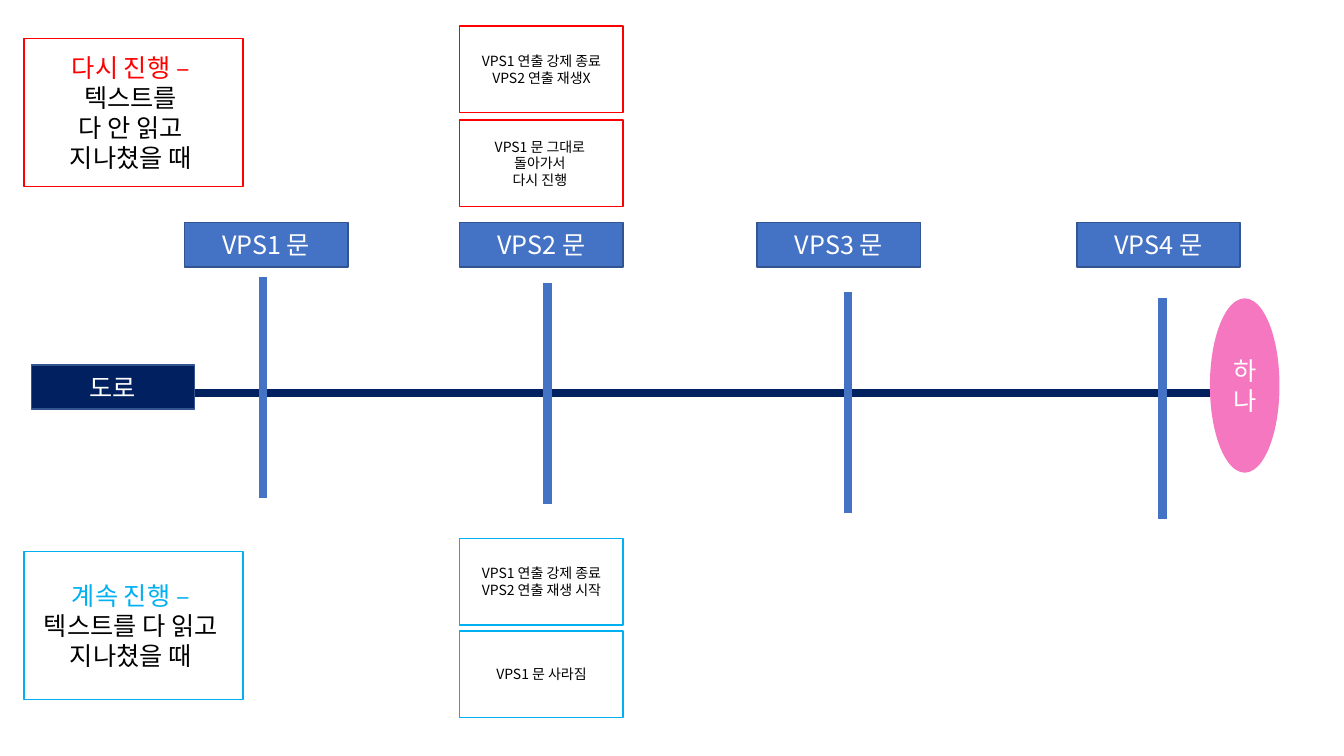
from lxml import etree
from pptx import Presentation
from pptx.dml.color import RGBColor
from pptx.enum.shapes import MSO_CONNECTOR, MSO_SHAPE
from pptx.enum.text import MSO_ANCHOR, PP_ALIGN
from pptx.oxml.ns import qn
from pptx.util import Inches, Pt

RECT, OVAL = MSO_SHAPE.RECTANGLE, MSO_SHAPE.OVAL
STRAIGHT = MSO_CONNECTOR.STRAIGHT
CENTER, MIDDLE = PP_ALIGN.CENTER, MSO_ANCHOR.MIDDLE
FONT = "Noto Sans CJK KR"
COLORS = {
    "white": "FFFFFF", "black": "000000", "blue": "4472C4", "edge": "325491",
    "navy": "002060", "pink": "F577BF", "red": "FF0000", "sky": "00B0F0",
}

GATES = [
    ("VPS1 문", 1.83, 2.61, 2.75),
    ("VPS2 문", 4.56, 5.43, 2.81),
    ("VPS3 문", 7.51, 8.41, 2.9),
    ("VPS4 문", 10.68, 11.53, 2.96),
]
CASES = [
    ("red", 0.38, ["다시 진행 – ", "텍스트를 ", "다 안 읽고 ", "지나쳤을 때 "]),
    ("sky", 5.47, ["계속 진행 – ", "텍스트를 다 읽고 ", "지나쳤을 때 "]),
]
RESULTS = [
    ("red", 0.26, ["VPS1 연출 강제 종료", "VPS2 연출 재생X"]),
    ("red", 1.19, ["VPS1 문 그대로 ", "돌아가서 ", "다시 진행 "]),
    ("sky", 5.34, ["VPS1 연출 강제 종료", "VPS2 연출 재생 시작"]),
    ("sky", 6.26, ["VPS1 문 사라짐"]),
]

LABEL_W, LABEL_H, LABEL_TOP = 1.62, 0.44, 2.21
CASE_LEFT, CASE_W, CASE_H = 0.24, 2.17, 1.47
RESULT_LEFT, RESULT_H = GATES[1][1], 0.86
POST_H, ROAD_Y = 2.19, 3.9

prs = Presentation()
prs.slide_width, prs.slide_height = Inches(13.33), Inches(7.5)
s = prs.slides.add_slide(prs.slide_layouts[6])


def rgb(name):
    return RGBColor.from_string(COLORS[name])


def add_line(x1, y1, x2, y2, color):
    ln = s.shapes.add_connector(STRAIGHT, *map(Inches, (x1, y1, x2, y2)))
    ln.line.color.rgb = rgb(color)
    ln.line.width = Pt(6)
    etree.SubElement(ln._element.spPr, qn("a:effectLst"))


def add_box(kind, left, top, width, height, fill, edge, lines, size, colors):
    sp = s.shapes.add_shape(kind, *map(Inches, (left, top, width, height)))
    sp.shadow.inherit = False
    sp.fill.solid()
    sp.fill.fore_color.rgb = rgb(fill)
    if edge:
        sp.line.color.rgb = rgb(edge)
        sp.line.width = Pt(1)
    else:
        sp.line.fill.background()
    tf = sp.text_frame
    tf.word_wrap = True
    tf.vertical_anchor = MIDDLE
    for i, text in enumerate(lines):
        p = tf.add_paragraph() if i else tf.paragraphs[0]
        p.text = text
        p.alignment = CENTER
        p.font.size = Pt(size)
        p.font.name = FONT
        p.font.color.rgb = rgb(colors[min(i, len(colors) - 1)])
        ea = etree.SubElement(p.font._element, qn("a:ea"))
        ea.set("typeface", FONT)


add_line(0.8, ROAD_Y, 12.63, ROAD_Y, "navy")
for label, left, post_x, post_top in GATES:
    add_line(post_x, post_top, post_x, post_top + POST_H, "blue")
    add_box(RECT, left, LABEL_TOP, LABEL_W, LABEL_H, "blue", "edge",
            [label], 18, ["white"])
add_box(RECT, 0.31, 3.62, LABEL_W, LABEL_H, "navy", "edge", ["도로"], 18, ["white"])
add_box(OVAL, 12, 2.96, 0.69, 1.73, "pink", None, ["하나"], 18, ["white"])

for color, top, lines in CASES:
    add_box(RECT, CASE_LEFT, top, CASE_W, CASE_H, "white", color,
            lines, 18, [color, "black"])
for color, top, lines in RESULTS:
    add_box(RECT, RESULT_LEFT, top, LABEL_W, RESULT_H, "white", color,
            lines, 10, ["black"])

prs.save("out.pptx")
